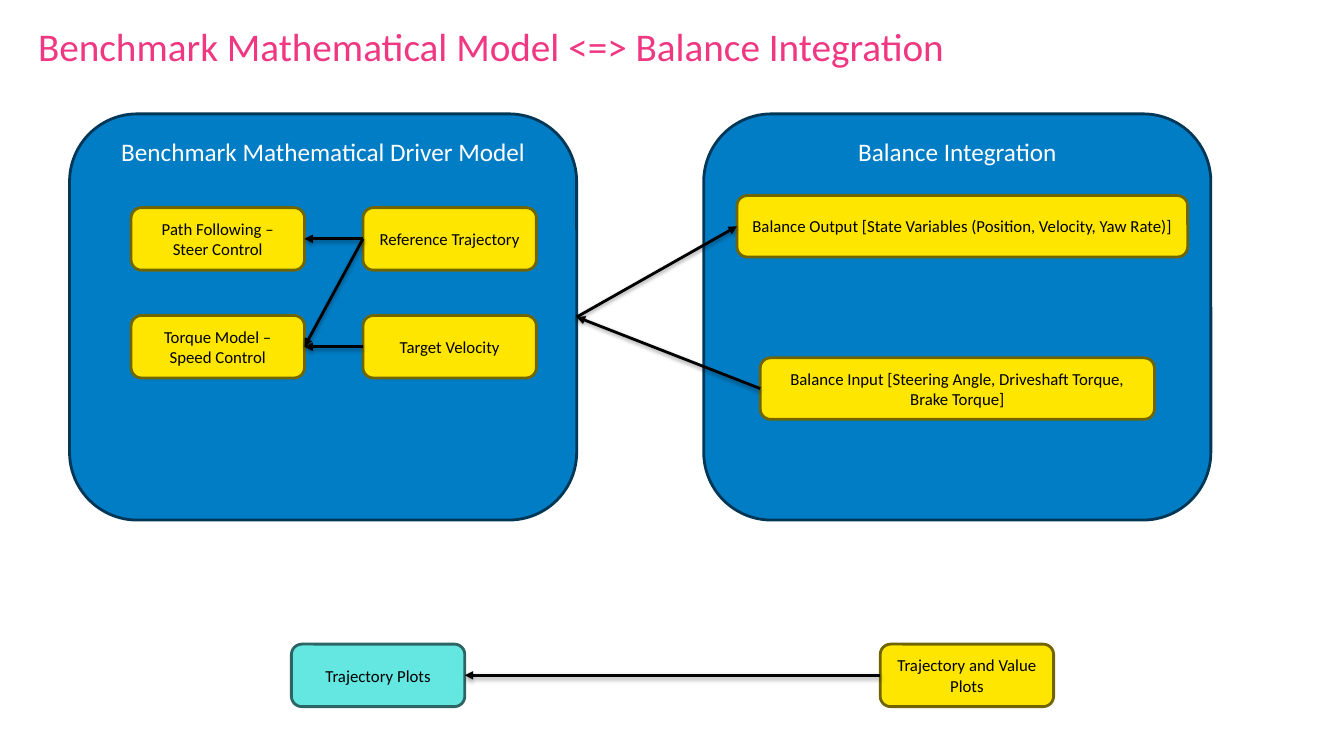
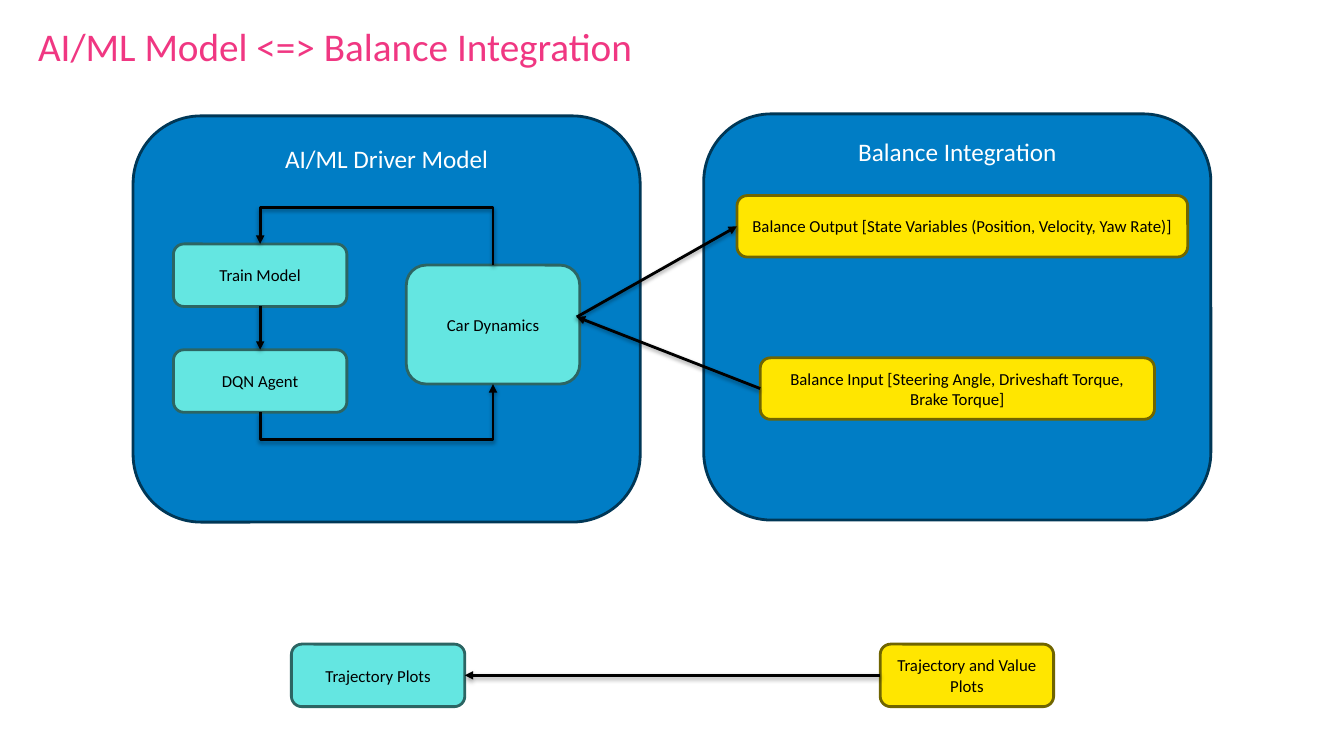
from dataclasses import dataclass
from typing import Any, NamedTuple

from lxml import etree
from pptx import Presentation
from pptx.dml.color import RGBColor
from pptx.enum.shapes import MSO_CONNECTOR, MSO_SHAPE
from pptx.enum.text import MSO_ANCHOR, PP_ALIGN
from pptx.oxml.ns import qn
from pptx.shapes.connector import Connector
from pptx.slide import Slide
from pptx.text.text import TextFrame
from pptx.util import Inches, Pt

ROUNDED = MSO_SHAPE.ROUNDED_RECTANGLE
STRAIGHT = MSO_CONNECTOR.STRAIGHT
ELBOW = MSO_CONNECTOR.ELBOW
TOP, MIDDLE = MSO_ANCHOR.TOP, MSO_ANCHOR.MIDDLE
LEFT, CENTER = PP_ALIGN.LEFT, PP_ALIGN.CENTER

PINK = RGBColor(0xF0, 0x37, 0x82)
BLUE = RGBColor(0x00, 0x7D, 0xC5)
DARK_BLUE = RGBColor(0x00, 0x37, 0x56)
YELLOW = RGBColor(0xFF, 0xE6, 0x00)
DARK_YELLOW = RGBColor(0x70, 0x65, 0x00)
TEAL = RGBColor(0x64, 0xE6, 0xE1)
DARK_TEAL = RGBColor(0x2C, 0x65, 0x63)
BLACK = RGBColor(0x00, 0x00, 0x00)
WHITE = RGBColor(0xFF, 0xFF, 0xFF)

FONT = "Calibri"
STROKE = Pt(2)
NODE_W, NODE_H = 1.72, 0.62
PANEL_W, PANEL_H = 5.03, 4.03


class Point(NamedTuple):
    x: float
    y: float


class Style(NamedTuple):
    fill: RGBColor
    outline: RGBColor
    ink: RGBColor
    size: int
    anchor: MSO_ANCHOR


PANEL = Style(BLUE, DARK_BLUE, WHITE, 18, TOP)
BALANCE = Style(YELLOW, DARK_YELLOW, BLACK, 12, MIDDLE)
LEARNED = Style(TEAL, DARK_TEAL, BLACK, 12, MIDDLE)


@dataclass(frozen=True)
class Box:
    label: str
    left: float
    top: float
    style: Style = BALANCE
    width: float = NODE_W
    height: float = NODE_H
    inset_top: float = 0.05

    def at(self, across: float, down: float) -> Point:
        return Point(self.left + across * self.width, self.top + down * self.height)

    @property
    def west(self) -> Point:
        return self.at(0, 0.5)

    @property
    def east(self) -> Point:
        return self.at(1, 0.5)

    @property
    def north(self) -> Point:
        return self.at(0.5, 0)

    @property
    def south(self) -> Point:
        return self.at(0.5, 1)


class Link(NamedTuple):
    start: Point
    end: Point
    turn_y: float | None = None


@dataclass(frozen=True)
class Diagram:
    title: str
    boxes: list[Box]
    links: list[Link]


def panel(label: str, left: float, top: float, inset_top: float) -> Box:
    return Box(label, left, top, PANEL, PANEL_W, PANEL_H, inset_top)


def assign(target: Any, values: dict[str, Any]) -> None:
    for attribute, value in values.items():
        setattr(target, attribute, value)


def write(frame: TextFrame, text: str, size: int, ink: RGBColor,
          align: PP_ALIGN, layout: dict[str, Any]) -> None:
    assign(frame, {"word_wrap": True, **layout})
    paragraph = frame.paragraphs[0]
    paragraph.alignment = align
    run = paragraph.add_run()
    run.text = text
    assign(run.font, {"name": FONT, "size": Pt(size)})
    run.font.color.rgb = ink


def draw_title(slide: Slide, title: str) -> None:
    heading = slide.shapes.add_textbox(Inches(0.28), Inches(0.16), Inches(11.5), Inches(0.58))
    write(heading.text_frame, title, 28, PINK, LEFT, {"vertical_anchor": MIDDLE})


def draw_box(slide: Slide, box: Box) -> None:
    shape = slide.shapes.add_shape(ROUNDED, Inches(box.left), Inches(box.top),
                                   Inches(box.width), Inches(box.height))
    style = box.style
    shape.shadow.inherit = False
    shape.fill.solid()
    shape.fill.fore_color.rgb = style.fill
    shape.line.color.rgb = style.outline
    shape.line.width = STROKE
    write(shape.text_frame, box.label, style.size, style.ink, CENTER,
          {"vertical_anchor": style.anchor, "margin_top": Inches(box.inset_top)})


def add_rising_elbow(slide: Slide, link: Link) -> Connector:
    start, end, turn_y = link
    rise, run = start.y - end.y, abs(end.x - start.x)
    left = (start.x + end.x - rise) / 2
    top = (start.y + end.y - run) / 2
    first, last = (top, top + run) if end.x > start.x else (top + run, top)
    elbow = slide.shapes.add_connector(ELBOW, Inches(left), Inches(first),
                                       Inches(left + rise), Inches(last))
    properties = elbow._element.spPr
    properties.find(qn("a:xfrm")).set("rot", str(270 * 60000))
    guides = properties.find(qn("a:prstGeom")).find(qn("a:avLst"))
    turn = round((start.y - turn_y) / rise * 100000)
    etree.SubElement(guides, qn("a:gd"), name="adj1", fmla=f"val {turn}")
    return elbow


def draw_link(slide: Slide, link: Link) -> None:
    if link.turn_y is None:
        arrow = slide.shapes.add_connector(STRAIGHT, Inches(link.start.x), Inches(link.start.y),
                                           Inches(link.end.x), Inches(link.end.y))
    else:
        arrow = add_rising_elbow(slide, link)
    arrow.line.color.rgb = BLACK
    arrow.line.width = STROKE
    properties = arrow._element.spPr
    etree.SubElement(properties.find(qn("a:ln")), qn("a:tailEnd"), type="triangle")
    effects = etree.SubElement(properties, qn("a:effectLst"))
    shadow = etree.SubElement(effects, qn("a:outerShdw"), blurRad=str(Pt(3.1)),
                              dist=str(Pt(1.6)), dir="5400000", rotWithShape="0")
    tint = etree.SubElement(shadow, qn("a:srgbClr"), val=str(BLACK))
    etree.SubElement(tint, qn("a:alpha"), val="38000")


def draw_diagram(slide: Slide, diagram: Diagram) -> None:
    draw_title(slide, diagram.title)
    for box in diagram.boxes:
        draw_box(slide, box)
    for link in diagram.links:
        draw_link(slide, link)


def build_diagrams() -> list[Diagram]:
    integration = panel("Balance Integration", 6.98, 1.13, 0.03)
    output = Box("Balance Output [State Variables (Position, Velocity, Yaw Rate)]",
                 7.31, 1.94, width=4.47, height=0.61)
    inputs = Box("Balance Input [Steering Angle, Driveshaft Torque, Brake Torque]",
                 7.54, 3.55, width=3.91, height=0.61)
    plots = Box("Trajectory Plots", 2.89, 6.39, LEARNED)
    value_plots = Box("Trajectory and Value Plots", 8.73, 6.39)

    benchmark = panel("Benchmark Mathematical Driver Model", 0.69, 1.13, 0.03)
    control_x, target_x = 1.3, 3.6
    steer_y, speed_y = 2.06, 3.13
    steer = Box("Path Following – Steer Control", control_x, steer_y)
    speed = Box("Torque Model – Speed Control", control_x, speed_y)
    trajectory = Box("Reference Trajectory", target_x, steer_y)
    velocity = Box("Target Velocity", target_x, speed_y)

    learned = panel("AI/ML Driver Model", 1.32, 1.15, 0.08)
    train = Box("Train Model", 1.72, 2.42, LEARNED)
    agent = Box("DQN Agent", 1.72, 3.47, LEARNED)
    dynamics = Box("Car Dynamics", 4.03, 2.63, LEARNED, height=1.18)

    shared_boxes = [integration, output, inputs, plots, value_plots]
    exchange = benchmark.east
    shared_links = [Link(exchange, output.west), Link(inputs.west, exchange),
                    Link(value_plots.west, plots.east)]
    return [
        Diagram("Benchmark Mathematical Model <=> Balance Integration",
                [benchmark, steer, speed, trajectory, velocity, *shared_boxes],
                [Link(trajectory.west, steer.east), Link(trajectory.west, speed.east),
                 Link(velocity.west, speed.east), *shared_links]),
        Diagram("AI/ML Model <=> Balance Integration",
                [learned, train, agent, dynamics, *shared_boxes],
                [Link(dynamics.north, train.north, 2.06),
                 Link(agent.south, dynamics.south, 4.36),
                 Link(train.south, agent.north), *shared_links]),
    ]


def main() -> None:
    deck = Presentation()
    assign(deck, {"slide_width": Inches(13.33), "slide_height": Inches(7.5)})
    blank = deck.slide_layouts[6]
    for diagram in build_diagrams():
        draw_diagram(deck.slides.add_slide(blank), diagram)
    deck.save("out.pptx")


if __name__ == "__main__":
    main()
